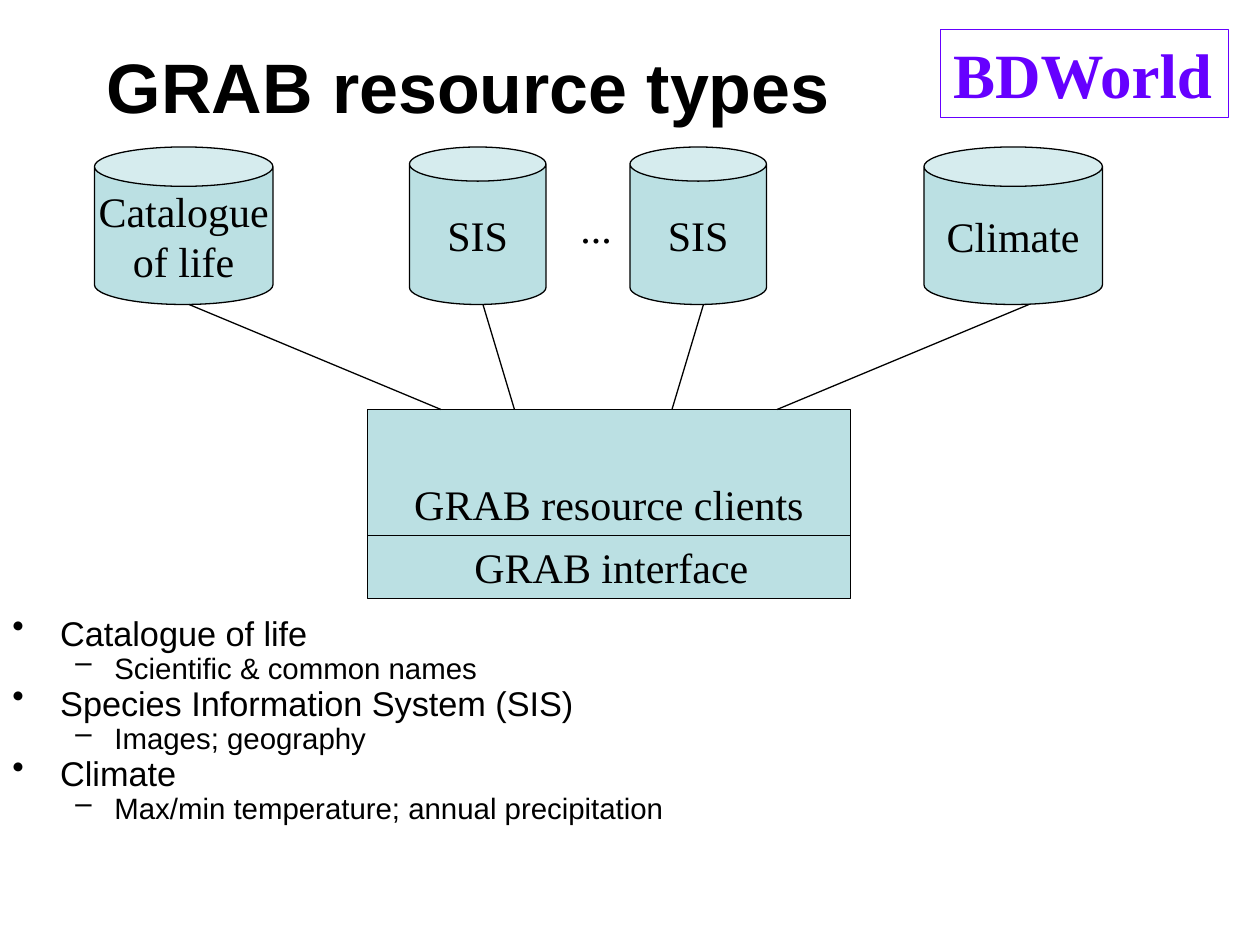
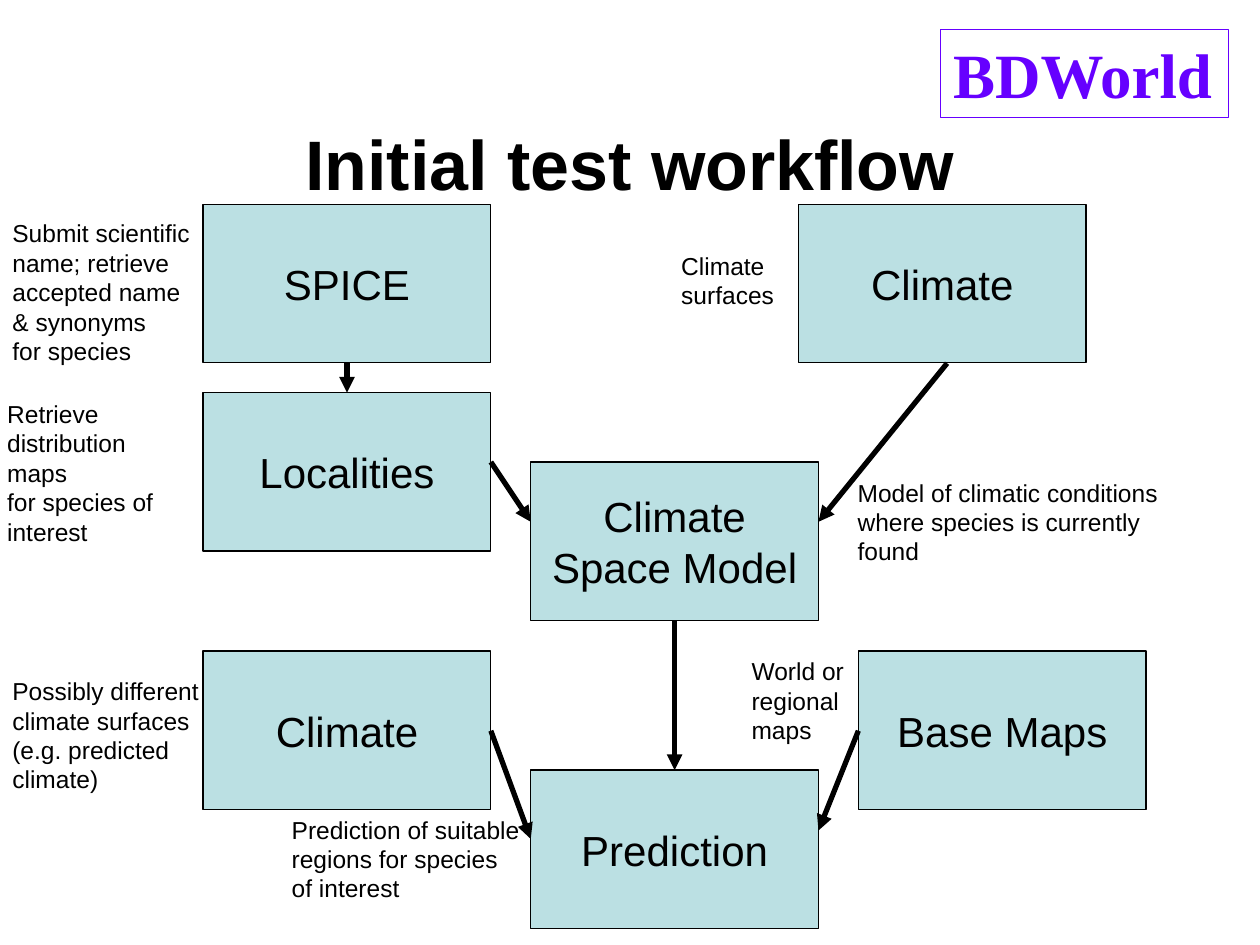
from lxml import etree
from pptx import Presentation
from pptx import util as u
from pptx.dml.color import RGBColor
from pptx.enum import shapes, text
from pptx.oxml import ns

BLACK = RGBColor(0x00, 0x00, 0x00)
TEAL = RGBColor(0xBB, 0xE0, 0xE3)
VIOLET = RGBColor(0x66, 0x00, 0xFF)

COLS, ROWS = 120, 90
SANS, SERIF = "Arial", "Times New Roman"
HEAD = {"name": SANS, "size": u.Pt(40), "bold": True}
MARK = {"name": SERIF, "size": u.Pt(36), "bold": True}
PLAIN = {"name": SANS, "size": u.Pt(24)}
ROMAN = {"name": SERIF, "size": u.Pt(24)}
SMALL = {"name": SANS, "size": u.Pt(14)}
LEVELS = [
    ("•", 0.38, 0.38, 7, {"name": SANS, "size": u.Pt(19.6)}),
    ("–", 0.81, 0.31, 6, {"name": SANS, "size": u.Pt(16.8)}),
]
LEFT, MID = text.PP_ALIGN.LEFT, text.PP_ALIGN.CENTER
TOP, CORE = text.MSO_ANCHOR.TOP, text.MSO_ANCHOR.MIDDLE
GROW = text.MSO_AUTO_SIZE.SHAPE_TO_FIT_TEXT
RECT, CAN = shapes.MSO_SHAPE.RECTANGLE, shapes.MSO_SHAPE.CAN


def assign(target, values):
    """Set each attribute named in a dict of format values."""
    for key, value in values.items():
        setattr(target, key, value)


class Deck:
    """Hold the shared style and the current slide."""

    def __init__(self):
        """Open an empty deck of 10 by 7.5 inches."""
        self.file = Presentation()
        assign(self.file, {"slide_width": u.Inches(10), "slide_height": u.Inches(7.5)})

    def grid(self, x, y):
        """Turn columns and rows into lengths."""
        return (int(self.file.slide_width * x / COLS),
                int(self.file.slide_height * y / ROWS))

    def area(self, x, y, w, h):
        """Turn a grid area into left, top, width and height."""
        return *self.grid(x, y), *self.grid(w, h)

    def page(self, title, top, align):
        """Start a slide with the shared mark and its title."""
        self.items = self.file.slides.add_slide(self.file.slide_layouts[6]).shapes
        mark = self.shape(RECT, (89.6, 2.8, 27.4, 8.4), None, VIOLET)
        self.put(mark, ["BDWorld"], MARK, color=VIOLET, wrap=False)
        self.label([title], (9, top, 102, 15), HEAD, align=align, anchor=CORE)

    def put(self, item, lines, font, align=LEFT, anchor=TOP, wrap=True,
            color=BLACK, grow=False):
        """Fill a shape with one paragraph for each line."""
        frame = item.text_frame
        assign(frame, {"word_wrap": wrap, "vertical_anchor": anchor})
        if grow:
            frame.auto_size = GROW
        for n, line in enumerate(lines):
            para = frame.add_paragraph() if n else frame.paragraphs[0]
            assign(para, {"text": line, "alignment": align})
            self.paint(para, font, color)

    def paint(self, para, font, color=BLACK):
        """Give the runs of a paragraph their font."""
        for run in para.runs:
            assign(run.font, font)
            run.font.color.rgb = color

    def shape(self, kind, area, fill, line):
        """Add a flat preset shape."""
        item = self.items.add_shape(kind, *self.area(*area))
        item.shadow.inherit = False
        if fill is None:
            item.fill.background()
        else:
            item.fill.solid()
            item.fill.fore_color.rgb = fill
        item.line.color.rgb = line
        item.line.width = u.Pt(0.75)
        return item

    def block(self, words, area, font, kind=RECT):
        """Add a teal shape with centred words."""
        item = self.shape(kind, area, TEAL, BLACK)
        self.put(item, [words], font, MID, CORE, wrap=False)
        return item

    def label(self, lines, area, font, **style):
        """Add a text box."""
        self.put(self.items.add_textbox(*self.area(*area)), lines, font, **style)

    def note(self, x, y, wide, *lines):
        """Add a small remark as tall as its lines."""
        area = x, y, wide, 1.2 + 2.8 * len(lines)
        self.label(lines, area, SMALL, wrap=False, grow=True)

    def line(self, start, end, width=0.75, arrow=False):
        """Add a straight line, with an arrowhead if asked."""
        link = self.items.add_connector(
            shapes.MSO_CONNECTOR.STRAIGHT, *self.grid(*start), *self.grid(*end))
        link.line.color.rgb = BLACK
        link.line.width = u.Pt(width)
        props = link.element.spPr
        if arrow:
            etree.SubElement(props.get_or_add_ln(), ns.qn("a:tailEnd"), type="triangle")
        etree.SubElement(props, ns.qn("a:effectLst"))
        return link

    def arrow(self, start, end):
        """Add a thick arrow between two points."""
        return self.line(start, end, 3, True)

    def drop(self, upper, lower):
        """Join the bottom of one block to the top of another."""
        link = self.arrow((0, 0), (1, 1))
        link.begin_connect(upper, 2)
        link.end_connect(lower, 0)

    def bullets(self, rows, area):
        """Add a list of level and words pairs."""
        frame = self.items.add_textbox(*self.area(*area)).text_frame
        frame.word_wrap = True
        for n, (level, words) in enumerate(rows):
            sign, margin, hang, gap, font = LEVELS[level]
            para = frame.add_paragraph() if n else frame.paragraphs[0]
            props = para._p.get_or_add_pPr()
            props.set("marL", str(u.Inches(margin)))
            props.set("indent", str(-u.Inches(hang)))
            etree.SubElement(props, ns.qn("a:buChar"), char=sign)
            assign(para, {"text": words, "level": level, "line_spacing": 0.62,
                          "space_before": u.Pt(gap if n else 0)})
            self.paint(para, font)


def types(deck):
    """Build the slide on resource types."""
    deck.page("GRAB resource types", 0.6, LEFT)
    for words, x, wide in [("Catalogue\nof life", 9, 17), ("SIS", 39, 13),
                           ("SIS", 60, 13), ("Climate", 88, 17)]:
        deck.block(words, (x, 14, wide, 15), ROMAN, CAN)
    deck.label(["..."], (54.1, 18.6, 5.4, 6), ROMAN, wrap=False, grow=True)
    deck.block("GRAB resource clients", (35, 39, 46, 18), ROMAN)
    for top, foot in [(18, 42), (46, 49), (67, 64), (98, 74)]:
        deck.line((top, 29), (foot, 39))
    deck.label(["GRAB interface"], (44, 51, 29.4, 6), ROMAN, grow=True)
    deck.line((35, 51), (81, 51))
    deck.bullets([
        (0, "Catalogue of life"),
        (1, "Scientific & common names"),
        (0, "Species Information System (SIS)"),
        (1, "Images; geography"),
        (0, "Climate"),
        (1, "Max/min temperature; annual precipitation"),
    ], (0, 59, 120, 20))


def flow(deck):
    """Build the slide on the test workflow."""
    deck.page("Initial test workflow", 8, MID)
    wide, high = 27.4, 15.1
    west, core, east = (19.35 + 31.2 * n for n in range(3))
    spice, local, model, maps, climate, future, result = (
        deck.block(words, (x, y, wide, high), PLAIN) for words, x, y in [
            ("SPICE", west, 19.45),
            ("Localities", west, 37.4),
            ("Climate\nSpace Model", core, 44),
            ("Base Maps", east, 62),
            ("Climate", 76.05, 19.45),
            ("Climate", west, 62),
            ("Prediction", core, 73.35),
        ])
    deck.drop(spice, local)
    deck.drop(model, result)
    edge, end = west + wide, core + wide
    deck.arrow((edge, 44), (core, 49.7))
    deck.arrow((90.2, 34.6), (end, 49.7))
    deck.arrow((east, 69.6), (end, 79.1))
    deck.arrow((edge, 69.6), (core, 79.9))
    deck.note(0, 20.2, 19.3, "Submit scientific", "name; retrieve",
              "accepted name", "& synonyms", "for species")
    deck.note(-0.5, 37.4, 20, "Retrieve", "distribution maps",
              "for species of", "interest")
    deck.note(63.7, 23.3, 11.2, "Climate", "surfaces")
    deck.note(80.5, 44.9, 31, "Model of climatic conditions",
              "where species is currently", "found")
    deck.note(0, 63.8, 20.2, "Possibly different", "climate surfaces",
              "(e.g. predicted", "climate)")
    deck.note(70.4, 61.9, 11.2, "World or", "regional", "maps")
    deck.note(26.6, 77, 24.1, "Prediction of suitable",
              "regions for species", "of interest")


def main():
    """Build both slides and save them."""
    deck = Deck()
    types(deck)
    flow(deck)
    deck.file.save("out.pptx")


if __name__ == "__main__":
    main()
